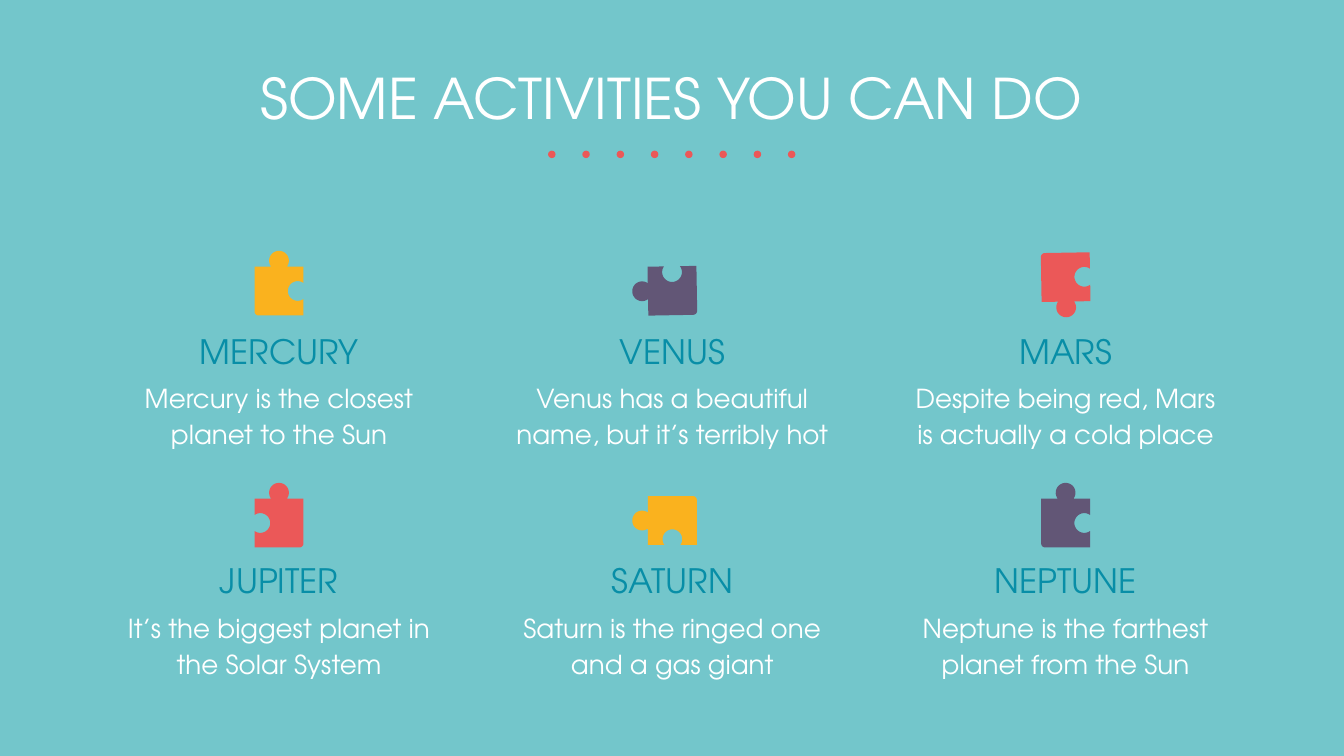
from math import asin, cos, pi, radians, sin

from pptx import Presentation
from pptx.dml.color import RGBColor
from pptx.enum.shapes import MSO_SHAPE
from pptx.enum.text import MSO_ANCHOR, PP_ALIGN
from pptx.util import Pt

TITLE = "SOME ACTIVITIES YOU CAN DO"
CARDS = [
    ("MERCURY", "Mercury is the closest planet to the Sun", "gold", "up", 0, 155.9),
    ("VENUS", "Venus has a beautiful name, but it’s terribly hot", "plum", "left", -1, 155.8),
    ("MARS", "Despite being red, Mars is actually a cold place", "red", "down", -1, 148.5),
    ("JUPITER", "It’s the biggest planet in the Solar System", "red", "mirror", 0, 280.2),
    ("SATURN", "Saturn is the ringed one and a gas giant", "gold", "swap", 0, 278.9),
    ("NEPTUNE", "Neptune is the farthest planet from the Sun", "plum", "up", 0, 280.2),
]
TURNS = {
    "up": (1, 0, 0, 1),
    "left": (0, 1, -1, 0),
    "down": (1, 0, 0, -1),
    "mirror": (-1, 0, 0, 1),
    "swap": (0, 1, 1, 0),
}
THEME = {
    "font": "TeX Gyre Adventor",
    "back": "73C6CB", "white": "FFFFFF", "teal": "088EA7",
    "gold": "FAB21E", "plum": "625676", "red": "EB5858",
    "title": {"size": 30, "color": "white", "space": 0.8},
    "name": {"size": 18, "color": "teal", "space": 1.0},
    "body": {"size": 14, "color": "white", "space": 1.15},
}
COLS, LEFT, TOP, WIDE = 3, 56.6, 169.9, 185.8
STEP_X, STEP_Y = 210.7, 123.1
HALF, KNOB, NECK, ROUND = 13.1, 5.3, 3.1, 2.2
DOTS, DOT, DOT_X, DOT_Y, GAP = 8, 4, 295.6, 82.7, 18.36


def color(key):
    return RGBColor.from_string(THEME[key])


def paint(shape, key):
    shape.shadow.inherit = False
    shape.fill.solid()
    shape.fill.fore_color.rgb = color(key)
    shape.line.fill.background()


def write(slide, text, style, box):
    look = THEME[style]
    frame = slide.shapes.add_textbox(*map(Pt, box)).text_frame
    pad = dict.fromkeys(("margin_left", "margin_top", "margin_right", "margin_bottom"), Pt(7.2))
    para = frame.paragraphs[0]
    run = para.add_run()
    run.text = text
    for part, form in (
        (frame, {"word_wrap": True, "vertical_anchor": MSO_ANCHOR.TOP, **pad}),
        (para, {"alignment": PP_ALIGN.CENTER, "line_spacing": look["space"]}),
        (run.font, {"name": THEME["font"], "size": Pt(look["size"])}),
        (run.font.color, {"rgb": color(look["color"])}),
    ):
        for key, value in form.items():
            setattr(part, key, value)


def arc(x, y, size, start, end, count=24):
    turns = [start + (end - start) * i / count for i in range(count + 1)]
    return [(x + size * cos(t), y + size * sin(t)) for t in turns]


def outline():
    dip = asin(NECK / KNOB)
    knob = arc(0, -HALF - NECK, KNOB, -pi - dip, dip)
    notch = arc(HALF - NECK, 0, KNOB, dip - pi / 2, -3 * pi / 2 - dip)
    bend = HALF - ROUND
    corner = arc(-bend, bend, ROUND, pi / 2, pi, 8)
    return knob + [(HALF, -HALF)] + notch + [(HALF, HALF)] + corner + [(-HALF, -HALF)]


def puzzle(slide, x, y, turn, tilt, key):
    a, b, c, d = TURNS[turn]
    co, si = cos(radians(tilt)), sin(radians(tilt))
    spots = []
    for u, v in outline():
        p, q = a * u + b * v, c * u + d * v
        spots.append((Pt(x + p * co - q * si), Pt(y + p * si + q * co)))
    pen = slide.shapes.build_freeform(*spots[0], scale=1.0)
    pen.add_line_segments(spots[1:], close=True)
    paint(pen.convert_to_shape(), key)


def main():
    deck = Presentation()
    deck.slide_width, deck.slide_height = Pt(720), Pt(405)
    slide = deck.slides.add_slide(deck.slide_layouts[6])
    slide.background.fill.solid()
    slide.background.fill.fore_color.rgb = color("back")
    write(slide, TITLE, "title", (131, 33.8, 457.2, 45.4))
    for i, (name, body, key, turn, tilt, mid) in enumerate(CARDS):
        row, col = divmod(i, COLS)
        x, y = LEFT + col * STEP_X, TOP + row * STEP_Y
        write(slide, name, "name", (x, y, WIDE, 31))
        write(slide, body, "body", (x, y + 25.2, WIDE, 57.6))
        puzzle(slide, x + WIDE / 2, mid, turn, tilt, key)
    group = slide.shapes.add_group_shape()
    for i in range(DOTS):
        spot = (DOT_X + i * GAP - DOT / 2, DOT_Y - DOT / 2, DOT, DOT)
        paint(group.shapes.add_shape(MSO_SHAPE.OVAL, *map(Pt, spot)), "red")
    deck.save("out.pptx")


if __name__ == "__main__":
    main()
